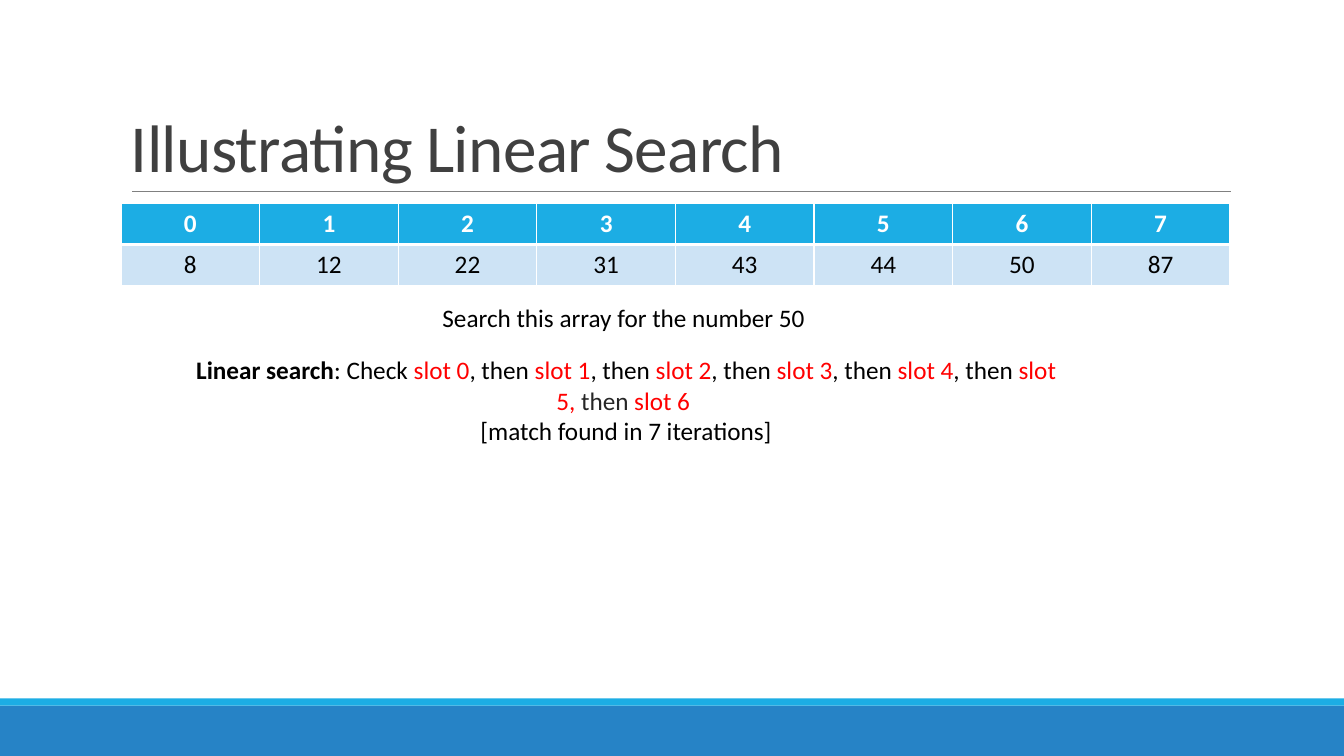
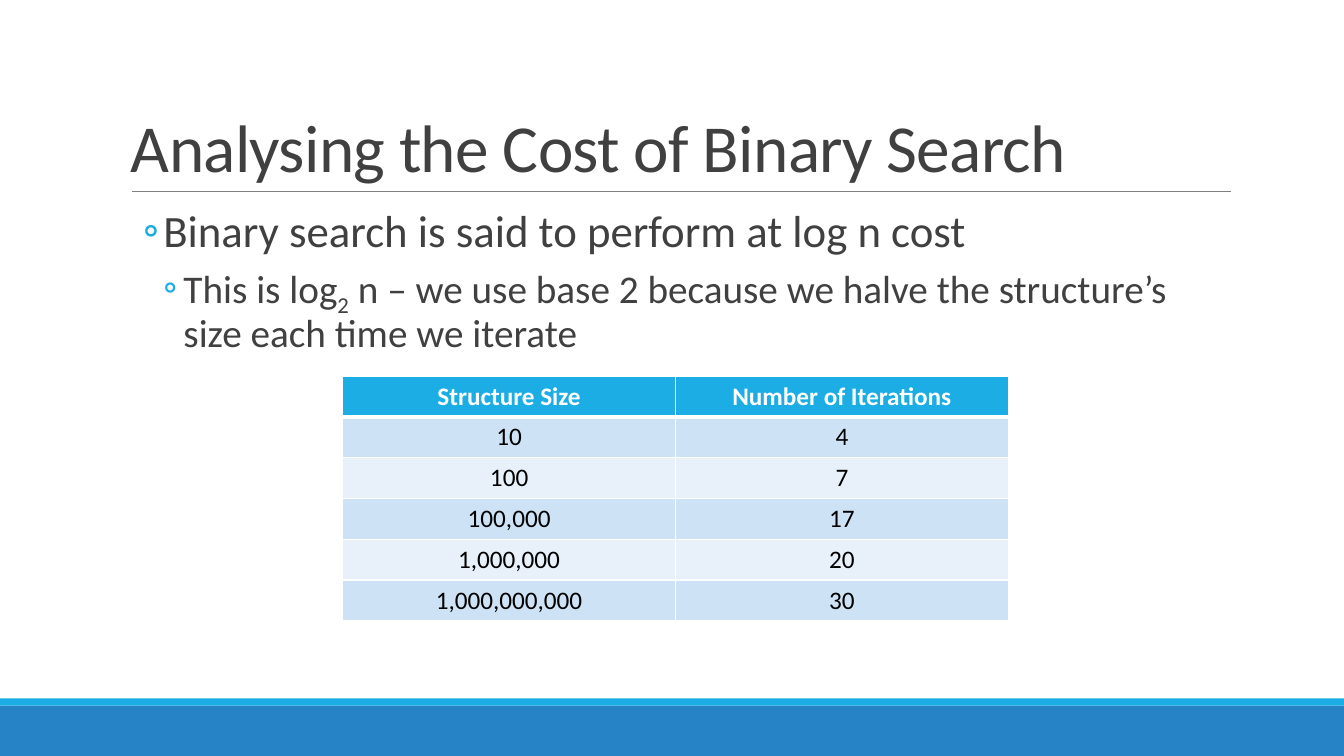
import pptx
import pptx.util
import pptx.dml.color
import pptx.enum.shapes
import pptx.enum.text
import pptx.oxml.ns
import lxml.etree

Inches = pptx.util.Inches
Pt = pptx.util.Pt
qn = pptx.oxml.ns.qn
ALIGN = pptx.enum.text.PP_ALIGN
ANCHOR = pptx.enum.text.MSO_ANCHOR

FONT = "Calibri"
COLORS = {
    "band": "2683C6", "accent": "1CADE4", "rule": "808080",
    "title": "404040", "text": "000000", "dark": "262626",
    "mark": "FF0000", "white": "FFFFFF", "odd": "CDE3F5", "even": "E8F1FA",
}

ARRAY = [
    ["0", "1", "2", "3", "4", "5", "6", "7"],
    ["8", "12", "22", "31", "43", "44", "50", "87"],
]
TASK = [[("Search this array for the number 50", "text")]]
STEPS = [
    [("Linear search", "text", "bold"), (": Check ", "text"),
     ("slot 0", "mark"), (", then ", "text"),
     ("slot 1", "mark"), (", then ", "text"),
     ("slot 2", "mark"), (", then ", "text"),
     ("slot 3", "mark"), (", then ", "text"),
     ("slot 4", "mark"), (", then ", "text"),
     ("slot 5, ", "mark"), ("then", "dark"), (" slot 6 ", "mark")],
    [("[match found in 7 iterations]", "text")],
]
POINTS = [
    [("Binary search is said to perform at log n cost", "title")],
    [("This is log", "title"), ("2", "title", "sub"),
     (" n – we use base 2 because we halve the structure’s size "
      "each time we iterate", "title")],
]
LEVELS = [(32, 0.42), (28, 0.62)]  # text size, left margin
COSTS = [
    ["Structure Size", "Number of Iterations"],
    ["10", "4"],
    ["100", "7"],
    ["100,000", "17"],
    ["1,000,000", "20"],
    ["1,000,000,000", "30"],
]


def rgb(name):
    return pptx.dml.color.RGBColor.from_string(COLORS[name])


def style(run, size, color, bold=False):
    run.font.name = FONT
    run.font.size = Pt(size)
    run.font.bold = bold
    run.font.color.rgb = rgb(color)


def add_text(slide, box, paras, size=18, align=ALIGN.LEFT):
    """Add a text box from paragraphs of (text, color, *marks) runs."""
    frame = slide.shapes.add_textbox(*map(Inches, box)).text_frame
    frame.word_wrap = True
    for i, parts in enumerate(paras):
        para = frame.paragraphs[0] if i == 0 else frame.add_paragraph()
        para.alignment = align
        for text, color, *marks in parts:
            run = para.add_run()
            run.text = text
            style(run, size, color, "bold" in marks)
            if "sub" in marks:
                run.font._element.set("baseline", "-25000")
    return frame


def add_points(slide, box, paras):
    frame = add_text(slide, box, paras)
    frame.margin_left = frame.margin_right = 0
    for level, (para, (size, left)) in enumerate(zip(frame.paragraphs, LEVELS)):
        para.level = level
        para.line_spacing = 0.9
        para.space_before, para.space_after = Pt(2), Pt(4)
        for run in para.runs:
            run.font.size = Pt(size)
        props = para._p.get_or_add_pPr()
        props.set("marL", str(Inches(left)))
        props.set("indent", str(Inches(-0.2)))
        tint = lxml.etree.SubElement(props, qn("a:buClr"))
        lxml.etree.SubElement(tint, qn("a:srgbClr"), val=COLORS["accent"])
        lxml.etree.SubElement(props, qn("a:buFont"), typeface=FONT)
        lxml.etree.SubElement(props, qn("a:buChar"), char="◦")


def add_edge(cell, side, width):
    props = cell._tc.get_or_add_tcPr()
    line = lxml.etree.SubElement(props, qn("a:ln" + side), w=str(Pt(width)))
    fill = lxml.etree.SubElement(line, qn("a:solidFill"))
    lxml.etree.SubElement(fill, qn("a:srgbClr"), val=COLORS["white"])


def add_grid(slide, box, rows):
    """Add a table with equal rows and columns, a header and banded rows."""
    count, width = len(rows), len(rows[0])
    table = slide.shapes.add_table(count, width, *map(Inches, box)).table
    for r, row in enumerate(rows):
        table.rows[r].height = Inches(box[3] / count)
        for c, text in enumerate(row):
            cell = table.cell(r, c)
            for side in "LRTB":
                thick = (r, side) in [(0, "B"), (1, "T")]
                add_edge(cell, side, 3 if thick else 1)
            cell.fill.solid()
            band = "odd" if r % 2 else "even"
            cell.fill.fore_color.rgb = rgb(band if r else "accent")
            para = cell.text_frame.paragraphs[0]
            para.text = text
            para.alignment = ALIGN.CENTER
            style(para.runs[0], 18, "text" if r else "white", r == 0)


def add_page(deck, title):
    """Add a slide with the shared bands, rule and title."""
    slide = deck.slides.add_slide(deck.slide_layouts[6])
    for top, height, color in [(7, 0.5, "band"), (6.93, 0.07, "accent")]:
        band = slide.shapes.add_shape(
            pptx.enum.shapes.MSO_SHAPE.RECTANGLE,
            0, Inches(top), deck.slide_width, Inches(height))
        band.shadow.inherit = False
        band.fill.solid()
        band.fill.fore_color.rgb = rgb(color)
        band.line.fill.background()
    rule = slide.shapes.add_connector(
        pptx.enum.shapes.MSO_CONNECTOR.STRAIGHT,
        Inches(1.31), Inches(1.9), Inches(12.21), Inches(1.9))
    rule.line.color.rgb = rgb("rule")
    rule.line.width = Pt(0.5)
    lxml.etree.SubElement(rule._element.spPr, qn("a:effectLst"))
    frame = add_text(slide, (1.2, 0.31, 11, 1.59), [[(title, "title")]], 48)
    frame.vertical_anchor = ANCHOR.BOTTOM
    para = frame.paragraphs[0]
    para.line_spacing = 0.85
    para.runs[0].font._element.set("spc", "-50")
    return slide


def main():
    deck = pptx.Presentation()
    deck.slide_width, deck.slide_height = Inches(13.33), Inches(7.5)

    page = add_page(deck, "Illustrating Linear Search")
    add_grid(page, (1.2, 2.02, 11, 0.81), ARRAY)
    add_text(page, (4.29, 2.95, 3.84, 0.4), TASK)
    add_text(page, (1.73, 3.47, 8.96, 1.01), STEPS, align=ALIGN.CENTER)

    page = add_page(deck, "Analysing the Cost of Binary Search")
    add_points(page, (1.2, 2.02, 11, 4.4), POINTS)
    add_grid(page, (3.4, 3.73, 6.6, 2.43), COSTS)

    deck.save("out.pptx")


if __name__ == "__main__":
    main()
